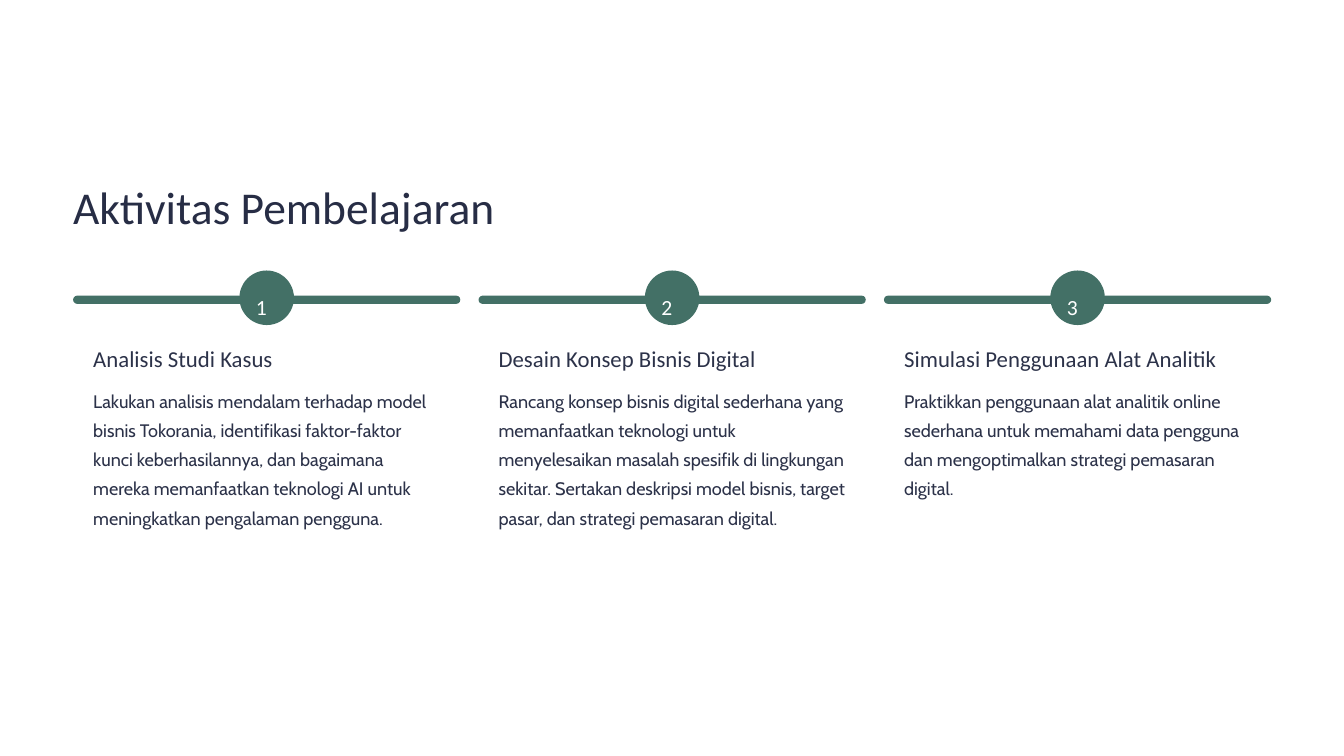
from pptx import Presentation
from pptx import util as u
from pptx.dml.color import RGBColor
from pptx.enum import shapes, text

TITLE = "Aktivitas Pembelajaran"
ACTIVITIES = [
    ("Analisis Studi Kasus",
     "Lakukan analisis mendalam terhadap model bisnis Tokorania, identifikasi "
     "faktor-faktor kunci keberhasilannya, dan bagaimana mereka memanfaatkan "
     "teknologi AI untuk meningkatkan pengalaman pengguna."),
    ("Desain Konsep Bisnis Digital",
     "Rancang konsep bisnis digital sederhana yang memanfaatkan teknologi untuk "
     "menyelesaikan masalah spesifik di lingkungan sekitar. Sertakan deskripsi "
     "model bisnis, target pasar, dan strategi pemasaran digital."),
    ("Simulasi Penggunaan Alat Analitik",
     "Praktikkan penggunaan alat analitik online sederhana untuk memahami data "
     "pengguna dan mengoptimalkan strategi pemasaran digital."),
]
GREEN, WHITE, NAVY, INK = "437066", "FFFFFF", "272D45", "2C3249"

# Column grid, in centimetres
LEFT, PITCH, CARD_WIDTH = 2.21, 12.26, 11.71
BADGE, INDENT, TEXT_WIDTH = 1.65, 0.61, 10.49


def color(value):
    return RGBColor.from_string(value)


def place(item, left, top, width, height):
    item.left, item.top, item.width, item.height = map(
        u.Cm, (left, top, width, height))


def write(box, content, size, leading, hue, font="Calibri"):
    frame = box.text_frame
    frame.text = content
    frame.word_wrap = True
    frame.auto_size = text.MSO_AUTO_SIZE.NONE
    frame.vertical_anchor = text.MSO_ANCHOR.TOP
    frame.margin_left = frame.margin_right = 0
    frame.margin_top = frame.margin_bottom = 0
    para = frame.paragraphs[0]
    para.alignment = text.PP_ALIGN.LEFT
    para.line_spacing = u.Pt(leading)
    span = para.runs[0].font
    span.name, span.size = font, u.Pt(size)
    span.color.rgb = color(hue)


def add_text(page, bounds, *style):
    write(page.shapes.add_textbox(*map(u.Cm, bounds)), *style)


def add_rounded(page, bounds, radius, hue):
    shape = page.shapes.add_shape(
        shapes.MSO_SHAPE.ROUNDED_RECTANGLE, *map(u.Cm, bounds))
    shape.adjustments[0] = radius
    shape.fill.solid()
    shape.fill.fore_color.rgb = color(hue)
    shape.line.fill.background()
    shape.shadow.inherit = False


def add_activity(page, index, heading, body):
    left = LEFT + index * PITCH
    badge_left = left + (CARD_WIDTH - BADGE) / 2
    # Card, bar and numbered badge
    add_rounded(page, (left, 9.02, CARD_WIDTH, 8.48), 0.04, WHITE)
    add_rounded(page, (left, 8.94, CARD_WIDTH, 0.25), 0.5, GREEN)
    add_rounded(page, (badge_left, 8.18, BADGE, BADGE), 0.5, GREEN)
    add_text(page, (badge_left + 0.5, 8.61, 0.66, 0.84),
             str(index + 1), 18.5, 30, WHITE)
    # Heading and description
    add_text(page, (left + INDENT, 10.39, TEXT_WIDTH, 0.86),
             heading, 19.5, 24, INK)
    add_text(page, (left + INDENT, 11.58, TEXT_WIDTH, 5.28),
             body, 15.5, 25, INK, "Cabin")


def main():
    deck = Presentation()
    deck.slide_width, deck.slide_height = u.Cm(40.64), u.Cm(22.86)
    page = deck.slides.add_slide(deck.slide_layouts[5])
    page.background.fill.solid()
    page.background.fill.fore_color.rgb = color(WHITE)

    # Title
    place(page.shapes.title, LEFT, 5.36, 14.12, 1.73)
    write(page.shapes.title, TITLE, 39, 48.5, NAVY)

    # Three activities
    for index, (heading, body) in enumerate(ACTIVITIES):
        add_activity(page, index, heading, body)
    deck.save("out.pptx")


if __name__ == "__main__":
    main()
